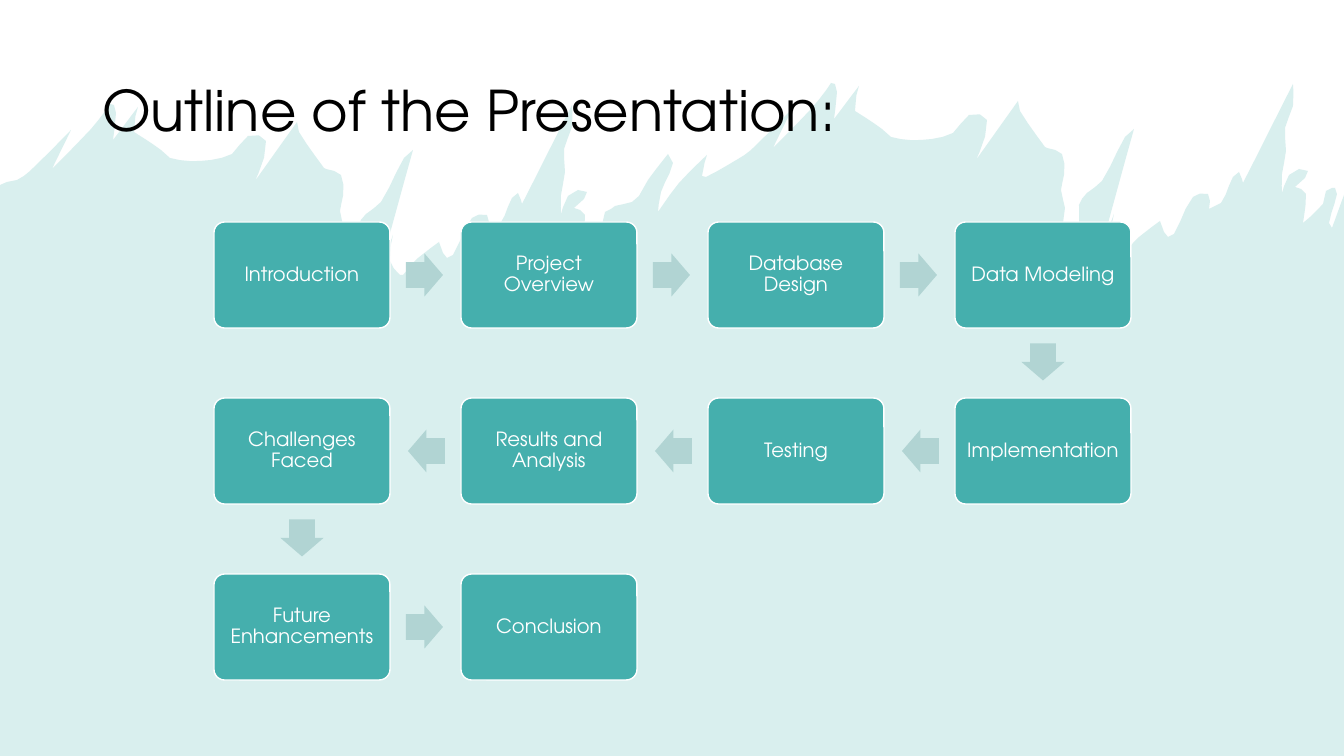
import math

import pptx
import pptx.dml.color
import pptx.enum.shapes
import pptx.enum.text
import pptx.oxml.ns
import pptx.util
from lxml import etree

SLIDE_W, SLIDE_H = 1344, 756
EMU_PER_PX = 12192000 / SLIDE_W
SHAPE = pptx.enum.shapes.MSO_SHAPE
ALIGN = pptx.enum.text.PP_ALIGN

TOPICS = [
    "Introduction", "Project Overview", "Database Design", "Data Modeling",
    "Implementation", "Testing", "Results and Analysis", "Challenges Faced",
    "Future Enhancements", "Conclusion",
]
COLUMNS = 4
BOX_W, BOX_H = 176, 106
GRID_LEFT, GRID_TOP = 214, 222
STEP_X, STEP_Y = 247, 176
ARROW_W, ARROW_H = 37, 43

# The crest of the paint splash appears twice, the second time shifted.
CREST = [
    (30, 171), (71, 130), (52, 169), (91, 129), (106, 110), (110, 104),
    (114, 105), (116, 113), (113, 140), (138, 107), (134, 132), (145, 139),
    (161, 150), (170, 158), (200, 161), (232, 154), (248, 136), (266, 141),
    (255, 181), (297, 122), (299, 132), (324, 168), (326, 169), (341, 175),
    (343, 196), (340, 211), (344, 229), (342, 244), (345, 257), (358, 244),
    (358, 226), (366, 214), (381, 202), (404, 158), (413, 150), (379, 273),
    (393, 235), (390, 261), (400, 275), (403, 275), (412, 264), (418, 258),
    (439, 242), (443, 253), (447, 258), (453, 255), (472, 218), (487, 215),
    (489, 222), (488, 230), (500, 224), (512, 198), (518, 193), (521, 200),
    (522, 204), (572, 105), (572, 127), (564, 149), (565, 172), (561, 195),
    (561, 214), (568, 196), (578, 190), (587, 192), (584, 199), (574, 208),
    (580, 210), (585, 215), (582, 244), (602, 225), (605, 212), (611, 209),
]
CREST_SHIFT = (721, -21)
LEFT_EDGE = [(0, 185), (7, 182), (17, 180)]
BETWEEN_CRESTS = [
    (615, 206), (632, 202), (639, 196), (648, 180), (668, 154), (673, 163),
    (661, 192), (658, 212), (679, 183), (707, 155), (702, 176), (706, 177),
    (738, 159),
]
RIGHT_EDGE = [(1335, 188), (1337, 194), (1329, 223), (1332, 228), (1344, 195)]


def px(length):
    return pptx.util.Emu(round(length * EMU_PER_PX))


def color(hex_string):
    return pptx.dml.color.RGBColor.from_string(hex_string)


def smooth(points):
    """Join points by curves, keeping sharp tips where the line turns back."""
    knots = [complex(*point) for point in points]
    directions = [0]
    for before, knot, after in zip(knots, knots[1:], knots[2:]):
        turn = (knot - before) * (after - knot).conjugate()
        chord = after - before
        directions.append(chord / abs(chord) if turn.real > 0 else 0)
    directions.append(0)
    curve = [points[0]]
    for i, (start, end) in enumerate(zip(knots, knots[1:])):
        length = abs(end - start)
        leave = start + length / 3 * directions[i]
        arrive = end - length / 3 * directions[i + 1]
        steps = min(3, math.ceil(length / 14))
        for step in range(1, steps + 1):
            t = step / steps
            u = 1 - t
            spot = (u ** 3 * start + 3 * u * u * t * leave
                    + 3 * u * t * t * arrive + t ** 3 * end)
            curve.append((spot.real, spot.imag))
    return curve


def write(frame, text, size, ink, font, align):
    """Fill a text frame with one formatted paragraph, centred vertically."""
    frame.word_wrap = True
    frame.auto_size = pptx.enum.text.MSO_AUTO_SIZE.NONE
    frame.vertical_anchor = pptx.enum.text.MSO_ANCHOR.MIDDLE
    paragraph = frame.paragraphs[0]
    paragraph.alignment = align
    paragraph.line_spacing = 0.9
    run = paragraph.add_run()
    run.text = text
    run.font.name = font
    run.font.size = pptx.util.Pt(size)
    run.font.color.rgb = color(ink)


class OutlineSlide:
    """Holds the style and the slide being built."""

    font = "TeX Gyre Adventor"
    teal, pale_teal, white, black = "45AFAD", "B1D4D3", "FFFFFF", "000000"

    def __init__(self, slide):
        self.slide = slide
        slide.background.fill.solid()
        slide.background.fill.fore_color.rgb = color(self.white)

    def paint(self, shape, fill, line=None):
        shape.shadow.inherit = False
        shape.fill.solid()
        shape.fill.fore_color.rgb = color(fill)
        if line:
            shape.line.color.rgb = color(line)
            shape.line.width = pptx.util.Pt(1)
        else:
            shape.line.fill.background()

    def title(self, text, left, top, width, height):
        title = self.slide.shapes.title
        title.left, title.top = px(left), px(top)
        title.width, title.height = px(width), px(height)
        write(title.text_frame, text, size=40, ink=self.black,
              font=self.font, align=ALIGN.LEFT)

    def splash(self, outline, opacity):
        """Draw a translucent outline behind the title."""
        fine = 8
        corners = [(round(x * fine), round(y * fine)) for x, y in outline]
        builder = self.slide.shapes.build_freeform(
            *corners[0], scale=EMU_PER_PX / fine)
        builder.add_line_segments(corners[1:], close=True)
        splash = builder.convert_to_shape()
        self.paint(splash, self.teal)
        tint = splash.element.spPr.find(
            "./" + pptx.oxml.ns.qn("a:solidFill") + "/*")
        etree.SubElement(tint, pptx.oxml.ns.qn("a:alpha"),
                         val=str(opacity * 1000))
        self.slide.shapes.title.element.addprevious(splash.element)

    def box(self, text, left, top):
        box = self.slide.shapes.add_shape(
            SHAPE.ROUNDED_RECTANGLE, px(left), px(top), px(BOX_W), px(BOX_H))
        box.adjustments[0] = 0.1
        self.paint(box, self.teal, line=self.white)
        frame = box.text_frame
        frame.margin_left = frame.margin_right = px(6)
        frame.margin_top = frame.margin_bottom = px(6)
        write(frame, text, size=14, ink=self.white,
              font=self.font, align=ALIGN.CENTER)

    def arrow(self, center_x, center_y, rotation):
        arrow = self.slide.shapes.add_shape(
            SHAPE.RIGHT_ARROW, px(center_x - ARROW_W / 2),
            px(center_y - ARROW_H / 2), px(ARROW_W), px(ARROW_H))
        arrow.adjustments[0], arrow.adjustments[1] = 0.6, 0.5
        arrow.rotation = rotation
        self.paint(arrow, self.pale_teal)


def box_corner(index):
    """Top left of a box; every second row runs from right to left."""
    row, column = divmod(index, COLUMNS)
    if row % 2:
        column = COLUMNS - 1 - column
    return GRID_LEFT + column * STEP_X, GRID_TOP + row * STEP_Y


def main():
    presentation = pptx.Presentation()
    presentation.slide_width, presentation.slide_height = px(SLIDE_W), px(SLIDE_H)
    outline = OutlineSlide(
        presentation.slides.add_slide(presentation.slide_layouts[5]))

    shift_x, shift_y = CREST_SHIFT
    second_crest = [(x + shift_x, y + shift_y) for x, y in CREST]
    ridge = LEFT_EDGE + CREST + BETWEEN_CRESTS + second_crest + RIGHT_EDGE
    outline.splash(smooth(ridge) + [(SLIDE_W, SLIDE_H), (0, SLIDE_H)], opacity=20)
    outline.title("Outline of the Presentation:", 92, 40, 1159, 146)

    corners = [box_corner(index) for index in range(len(TOPICS))]
    for topic, corner in zip(TOPICS, corners):
        outline.box(topic, *corner)
    for (x, y), (next_x, next_y) in zip(corners, corners[1:]):
        way_x = (next_x > x) - (next_x < x)
        way_y = (next_y > y) - (next_y < y)
        rotation = 90 if way_y else 180 if way_x < 0 else 0
        outline.arrow((x + next_x + BOX_W) / 2 - way_x,
                      (y + next_y + BOX_H) / 2 - way_y, rotation)

    presentation.save("out.pptx")


if __name__ == "__main__":
    main()
